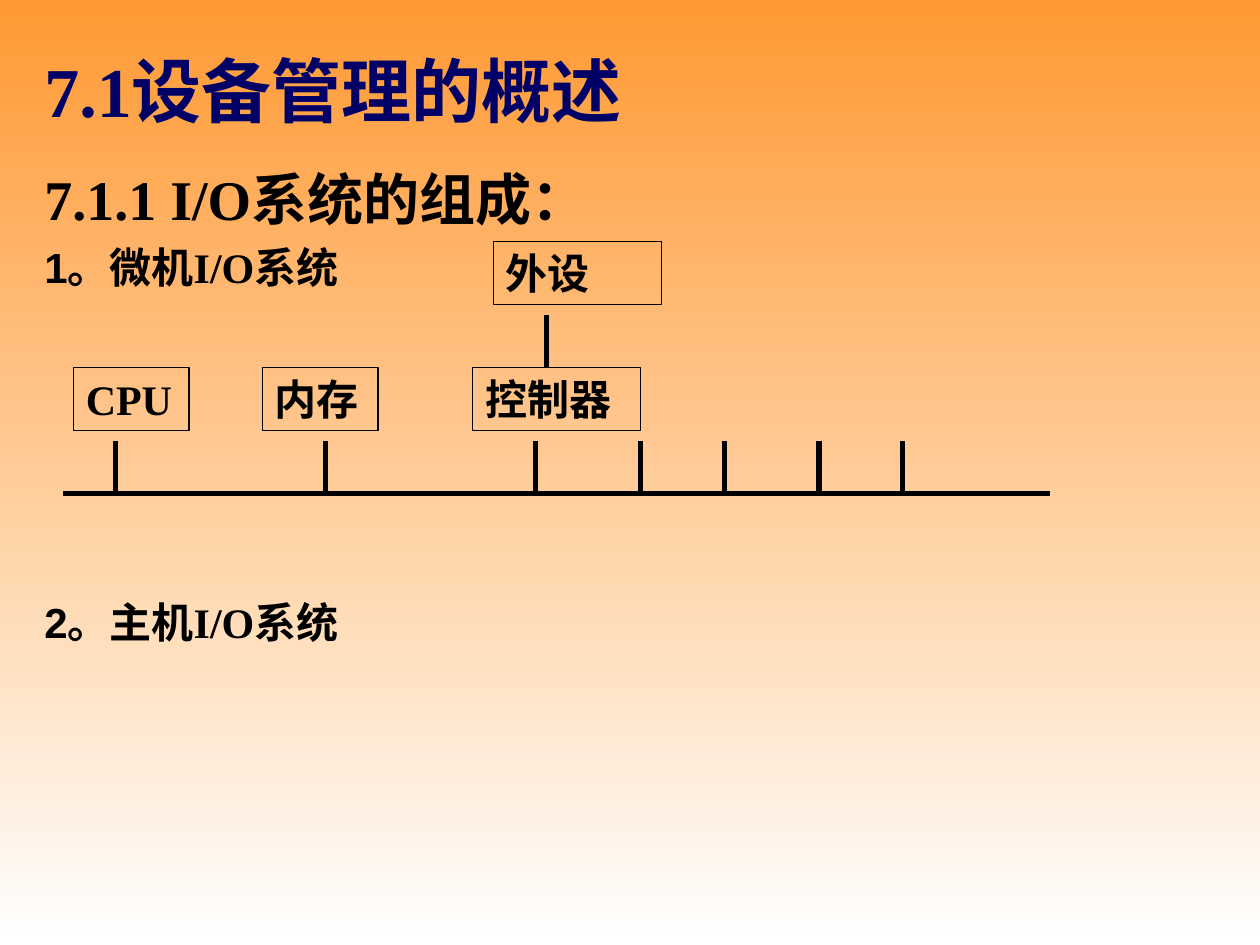
from pptx import Presentation
from pptx.dml.color import RGBColor
from pptx.enum import shapes, text
from pptx.oxml import ns
from pptx.util import Cm, Pt
from lxml import etree

COLORS = {"top": "FF9933", "bottom": "FFFFFF", "title": "000066", "ink": "000000"}
SERIF, SANS, CJK = "Times New Roman", "Arial", "Noto Sans CJK SC"


def rgb(name):
    return RGBColor.from_string(COLORS[name])


def add_run(p, content, size=24, font=SERIF, color="ink"):
    r = p.add_run()
    r.text = content
    r.font.size, r.font.bold, r.font.name = Pt(size), True, font
    r.font.color.rgb = rgb(color)
    etree.SubElement(r.font._element, ns.qn("a:ea")).set("typeface", CJK)


def place(sp, left, top, width, height):
    sp.left, sp.top, sp.width, sp.height = Cm(left), Cm(top), Cm(width), Cm(height)
    tf = sp.text_frame
    tf.word_wrap, tf.auto_size = True, text.MSO_AUTO_SIZE.NONE
    return tf


def paint_background(s):
    fill = s.background.fill
    fill.gradient()
    fill.gradient_angle = 270
    for stop, position, name in zip(fill.gradient_stops, (0, 1), ("top", "bottom")):
        stop.position = position
        stop.color.rgb = rgb(name)


def fill_title(s, left, top, width, height):
    tf = place(s.shapes.title, left, top, width, height)
    tf.vertical_anchor = text.MSO_ANCHOR.MIDDLE
    p = tf.paragraphs[0]
    p.alignment = text.PP_ALIGN.LEFT
    add_run(p, "7.1", size=40, color="title")
    add_run(p, "设备管理的概述", size=40, font=CJK, color="title")


def fill_outline(s, left, top, width, height):
    """Write the section heading and its two items; the second leaves room for the diagram."""
    tf = place(s.placeholders[1], left, top, width, height)
    lines = [
        (32, 8, [("7.1.1 I/O", SERIF), ("系统的组成：", SANS)]),
        (24, 6, [("1。微机", SANS), ("I/O", SERIF), ("系统", SANS)]),
        (24, 174, [("2。主机", SANS), ("I/O", SERIF), ("系统", SANS)]),
    ]
    for i, (size, before, runs) in enumerate(lines):
        p = tf.add_paragraph() if i else tf.paragraphs[0]
        p.space_before = Pt(before)
        pPr = p._p.get_or_add_pPr()
        pPr.set("marL", str(Cm(0.95)))
        pPr.set("indent", str(-Cm(0.95)))
        etree.SubElement(pPr, ns.qn("a:buNone"))
        for content, font in runs:
            add_run(p, content, size=size, font=font)


def add_line(s, x1, y1, x2, y2):
    c = s.shapes.add_connector(shapes.MSO_CONNECTOR.STRAIGHT,
                               Cm(x1), Cm(y1), Cm(x2), Cm(y2))
    c.line.color.rgb, c.line.width = rgb("ink"), Pt(3)
    etree.SubElement(c._element.spPr, ns.qn("a:effectLst"))


def add_box(s, label, left, top, width, height):
    sp = s.shapes.add_shape(shapes.MSO_SHAPE.RECTANGLE, 0, 0, 0, 0)
    sp.shadow.inherit = False
    sp.fill.background()
    sp.line.color.rgb, sp.line.width = rgb("ink"), Pt(0.75)
    tf = place(sp, left, top, width, height)
    tf.vertical_anchor = text.MSO_ANCHOR.TOP
    p = tf.paragraphs[0]
    p.alignment = text.PP_ALIGN.LEFT
    add_run(p, label)


def draw_bus(s, left, top, width, height):
    """Draw the bus along the bottom edge, with its taps and the units above it."""
    tap, box_height = 1.06, 1.27
    unit_row, bus = top + height / 2, top + height
    add_line(s, left, bus, left + width, bus)
    for x in (1.06, 5.29, 9.53, 11.64, 13.34, 15.24, 16.93):
        add_line(s, left + x, bus, left + x, bus - tap)
    add_line(s, left + 9.74, unit_row, left + 9.74, unit_row - tap)
    for label, x, y, box_width in (
        ("CPU", 0.21, unit_row, 2.33),
        ("内存", 4.02, unit_row, 2.33),
        ("控制器", 8.26, unit_row, 3.39),
        ("外设", 8.68, top, 3.39),
    ):
        add_box(s, label, left + x, y, box_width, box_height)


def main():
    prs = Presentation()
    prs.slide_width, prs.slide_height = Cm(25.4), Cm(19.05)
    s = prs.slides.add_slide(prs.slide_layouts[1])
    paint_background(s)
    fill_title(s, 0.64, 0.64, 22.86, 2.33)
    fill_outline(s, 0.64, 3.18, 24.13, 15.03)
    draw_bus(s, 1.27, 4.87, 19.9, 5.08)
    prs.save("out.pptx")


if __name__ == "__main__":
    main()
